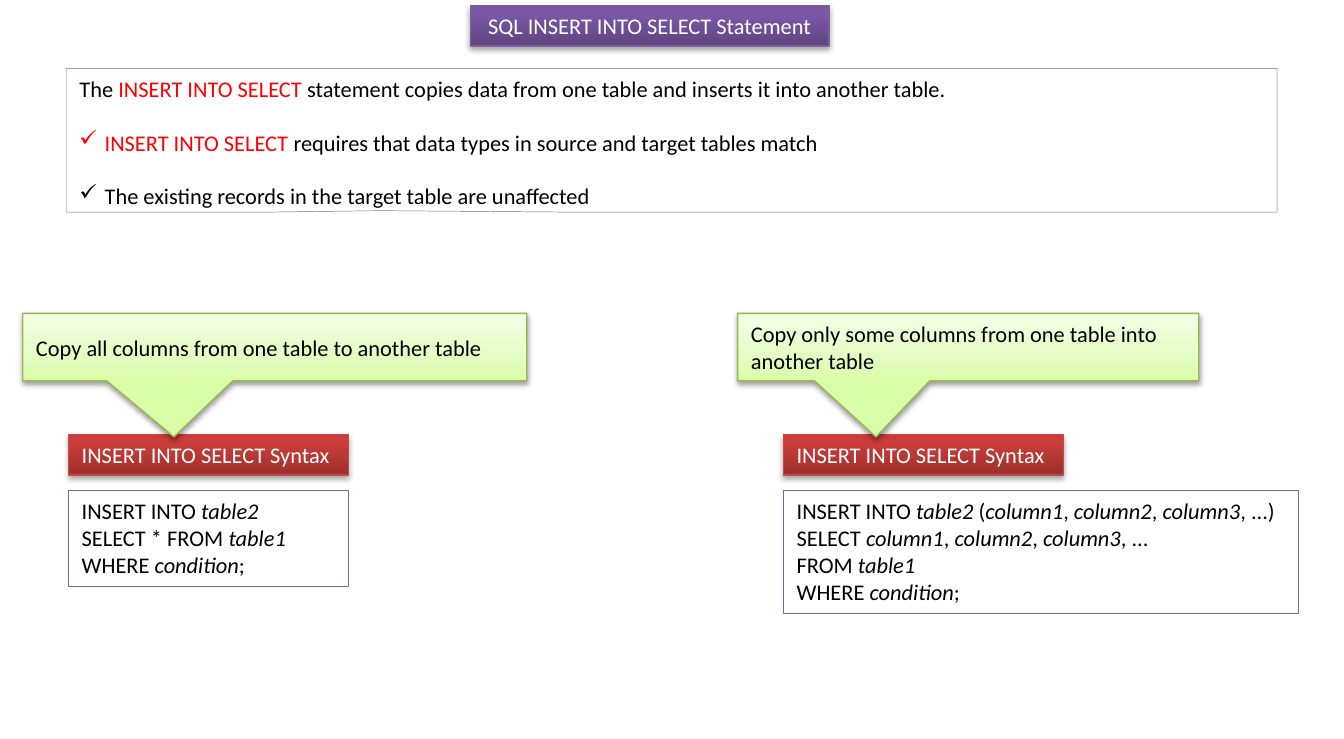
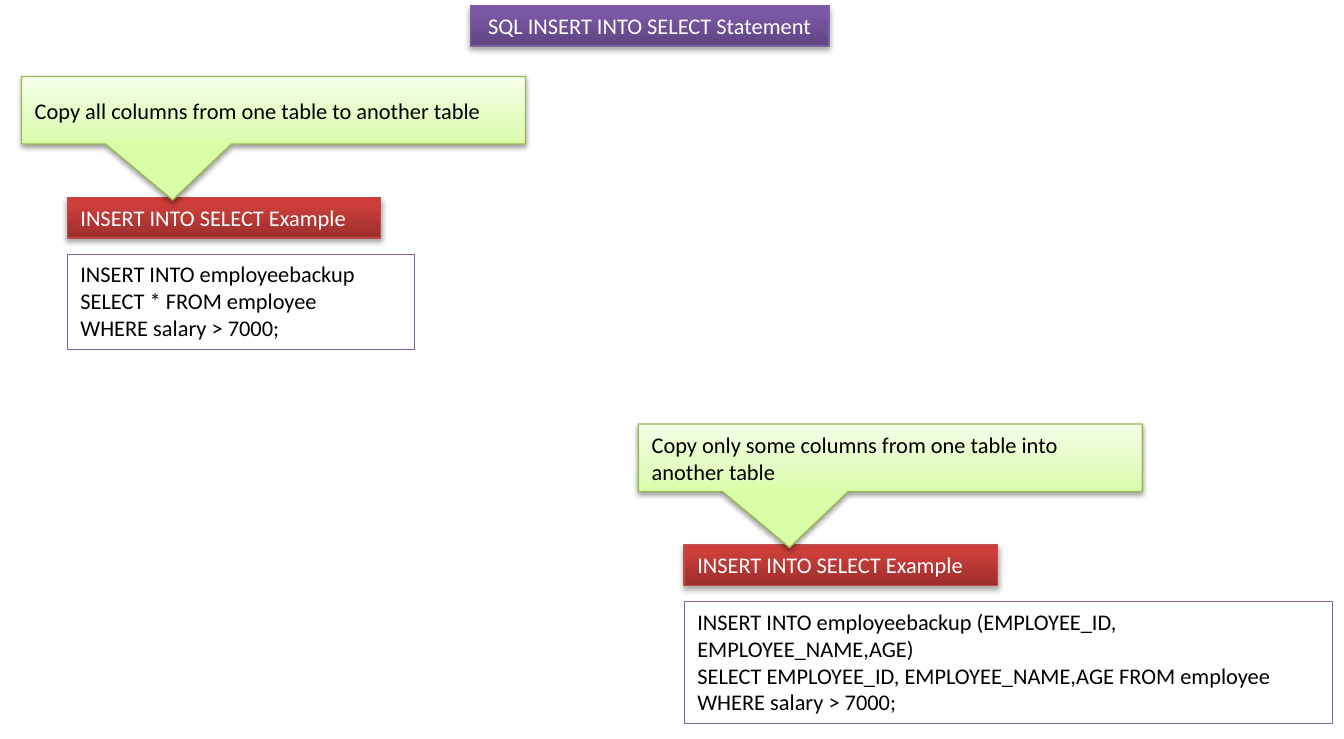
import pptx
import pptx.dml.color
import pptx.enum.shapes
import pptx.enum.text
import pptx.oxml.ns
import pptx.util
from dataclasses import dataclass
from lxml import etree

Pt = pptx.util.Pt
qn = pptx.oxml.ns.qn
SHAPES = pptx.enum.shapes.MSO_SHAPE
ALIGN = pptx.enum.text.PP_ALIGN
ANCHOR = pptx.enum.text.MSO_ANCHOR


@dataclass(frozen=True)
class Look:
    """Fill (one colour or gradient stops), outline, text colour and shadow."""
    fill: object
    line: str
    line_width: float
    text: str
    shadow: tuple = ()  # opacity %, blur, distance


@dataclass(frozen=True)
class Theme:
    font: str = "Calibri"
    size: float = 12
    accent: str = "FF0000"
    banner: Look = Look(((0, "5F4480"), (80, "7B58A6"), (100, "7C57A8")),
                        "7D60A0", 0.75, "FFFFFF", (35, 3.1, 1.8))
    heading: Look = Look(((0, "9C2F2D"), (80, "CB3E3A"), (100, "CE3B37")),
                         "BF4C48", 0.75, "FFFFFF", (35, 3.1, 1.8))
    callout: Look = Look(((0, "DAFDA7"), (35, "E4FCC2"), (100, "F5FFE7")),
                         "98B955", 0.75, "000000", (38, 3.1, 1.6))
    paper: Look = Look("FFFFFF", "8064A2", 0.25, "000000")


def rgb(value):
    return pptx.dml.color.RGBColor.from_string(value)


class Deck:
    # Panel rhythm: offsets from the callout's top left corner
    INDENT, HEADING_DROP, CODE_DROP = 24.5, 64.8, 95
    BAR_HEIGHT, CALLOUT_HEIGHT = 21.8, 36.2
    ROW_HEIGHT, CODE_PADDING = 14.4, 7.9

    def __init__(self, theme):
        self.theme = theme
        self.prs = pptx.Presentation()
        self.prs.slide_width, self.prs.slide_height = Pt(720), Pt(396)
        self.slide = None

    def dress(self, shape, look):
        """Apply fill, outline and shadow."""
        if isinstance(look.fill, str):
            shape.fill.solid()
            shape.fill.fore_color.rgb = rgb(look.fill)
        else:
            shape.fill.gradient()
            shape.fill.gradient_angle = 90
            stops = shape.element.spPr.find(".//" + qn("a:gsLst"))
            for stop in list(stops):
                stops.remove(stop)
            for position, color in look.fill:
                stop = etree.SubElement(stops, qn("a:gs"), pos=str(position * 1000))
                etree.SubElement(stop, qn("a:srgbClr"), val=color)
        shape.line.color.rgb = rgb(look.line)
        shape.line.width = Pt(look.line_width)
        shape.shadow.inherit = False
        if look.shadow:
            opacity, blur, distance = look.shadow
            effects = shape.element.spPr.find(qn("a:effectLst"))
            shadow = etree.SubElement(
                effects, qn("a:outerShdw"), blurRad=str(Pt(blur)),
                dist=str(Pt(distance)), dir="5400000", rotWithShape="0")
            color = etree.SubElement(shadow, qn("a:srgbClr"), val="000000")
            etree.SubElement(color, qn("a:alpha"), val=str(opacity * 1000))

    def style_run(self, run, color, italic=False):
        run.font.name = self.theme.font
        run.font.size = Pt(self.theme.size)
        run.font.color.rgb = rgb(color)
        run.font.italic = italic

    def set_lines(self, shape, lines, look, anchor, accent=None):
        """Fill in the lines; parts between | marks are accented or italic."""
        frame = shape.text_frame
        frame.word_wrap = True
        frame.vertical_anchor = anchor
        for index, line in enumerate(lines):
            paragraph = frame.add_paragraph() if index else frame.paragraphs[0]
            paragraph.alignment = ALIGN.LEFT
            for part, words in enumerate(line.split("|")):
                if words:
                    run = paragraph.add_run()
                    run.text = words
                    marked = part % 2 == 1
                    self.style_run(run, accent if marked and accent else look.text,
                                   italic=marked and not accent)

    def box(self, kind, place, lines, look, anchor=ANCHOR.TOP, accent=None):
        shape = self.slide.shapes.add_shape(kind, *map(Pt, place))
        self.dress(shape, look)
        self.set_lines(shape, lines, look, anchor, accent)
        return shape

    def new_slide(self, title):
        """Start a slide with its title banner."""
        self.slide = self.prs.slides.add_slide(self.prs.slide_layouts[5])
        banner = self.slide.shapes.title
        banner.left, banner.top = Pt(252), Pt(2.9)
        banner.width, banner.height = Pt(192.2), Pt(self.BAR_HEIGHT)
        self.dress(banner, self.theme.banner)
        self.set_lines(banner, [title], self.theme.banner, ANCHOR.TOP)
        banner.text_frame.auto_size = pptx.enum.text.MSO_AUTO_SIZE.NONE
        banner.text_frame.paragraphs[0].alignment = ALIGN.CENTER

    def summary(self, place, lines):
        """Introductory sentence followed by ticked points."""
        shape = self.box(SHAPES.RECTANGULAR_CALLOUT, place, lines, self.theme.paper,
                         ANCHOR.MIDDLE, self.theme.accent)
        shape.adjustments[0], shape.adjustments[1] = -0.24, 0.49
        frame = shape.text_frame
        frame.margin_top, frame.margin_bottom = Pt(2), Pt(0)
        for point in frame.paragraphs[1:]:
            point.space_before = Pt(14.4)
            properties = point._p.get_or_add_pPr()
            properties.set("marL", str(Pt(13.5)))
            properties.set("indent", str(-Pt(13.5)))
            etree.SubElement(properties, qn("a:buChar"), char="✓")

    def panel(self, left, top, purpose, purpose_width, heading, heading_width,
              code, code_width, rows):
        """Code box and its heading, with a callout pointing at them."""
        inner = left + self.INDENT
        self.box(SHAPES.RECTANGLE,
                 (inner, top + self.CODE_DROP, code_width,
                  rows * self.ROW_HEIGHT + self.CODE_PADDING),
                 code, self.theme.paper)
        self.box(SHAPES.RECTANGLE,
                 (inner, top + self.HEADING_DROP, heading_width, self.BAR_HEIGHT),
                 [heading], self.theme.heading)
        callout = self.box(SHAPES.RECTANGULAR_CALLOUT,
                           (left, top, purpose_width, self.CALLOUT_HEIGHT),
                           [purpose], self.theme.callout, ANCHOR.MIDDLE)
        callout.adjustments[0], callout.adjustments[1] = -0.2, 1.33


TITLE = "SQL INSERT INTO SELECT Statement"
COPY_ALL = "Copy all columns from one table to another table"
COPY_SOME = "Copy only some columns from one table into another table"
SYNTAX = "INSERT INTO SELECT Syntax"
EXAMPLE = "INSERT INTO SELECT Example"


def main():
    deck = Deck(Theme())

    # Statement and syntax
    deck.new_slide(TITLE)
    deck.summary((35.5, 36.7, 648.7, 77), [
        "The |INSERT INTO SELECT| statement copies data from one table "
        "and inserts it into another table.",
        "|INSERT INTO SELECT |requires that data types in source and target tables match",
        "The existing records in the target table are unaffected",
    ])
    deck.panel(12.2, 167.9, COPY_ALL, 270, SYNTAX, 150, [
        "INSERT INTO |table2|",
        "SELECT * FROM |table1|",
        "WHERE |condition|;",
    ], 150, rows=3)
    deck.panel(395.2, 167.9, COPY_SOME, 247, SYNTAX, 150, [
        "INSERT INTO |table2 |(|column1|, |column2|, |column3|, ...)",
        "SELECT |column1|, |column2|, |column3|, ...",
        "FROM |table1|",
        "WHERE |condition|;",
    ], 276, rows=4)

    # Examples
    deck.new_slide(TITLE)
    deck.panel(342, 227.2, COPY_SOME, 270, EXAMPLE, 168, [
        "INSERT INTO employeebackup (EMPLOYEE_ID, EMPLOYEE_NAME,AGE)",
        "SELECT EMPLOYEE_ID, EMPLOYEE_NAME,AGE FROM employee",
        "WHERE salary > 7000;",
    ], 347, rows=4)
    deck.panel(11.5, 41, COPY_ALL, 270, EXAMPLE, 168, [
        "INSERT INTO employeebackup",
        "SELECT * FROM employee",
        "WHERE salary > 7000;",
    ], 186, rows=3)

    deck.prs.save("out.pptx")


if __name__ == "__main__":
    main()
